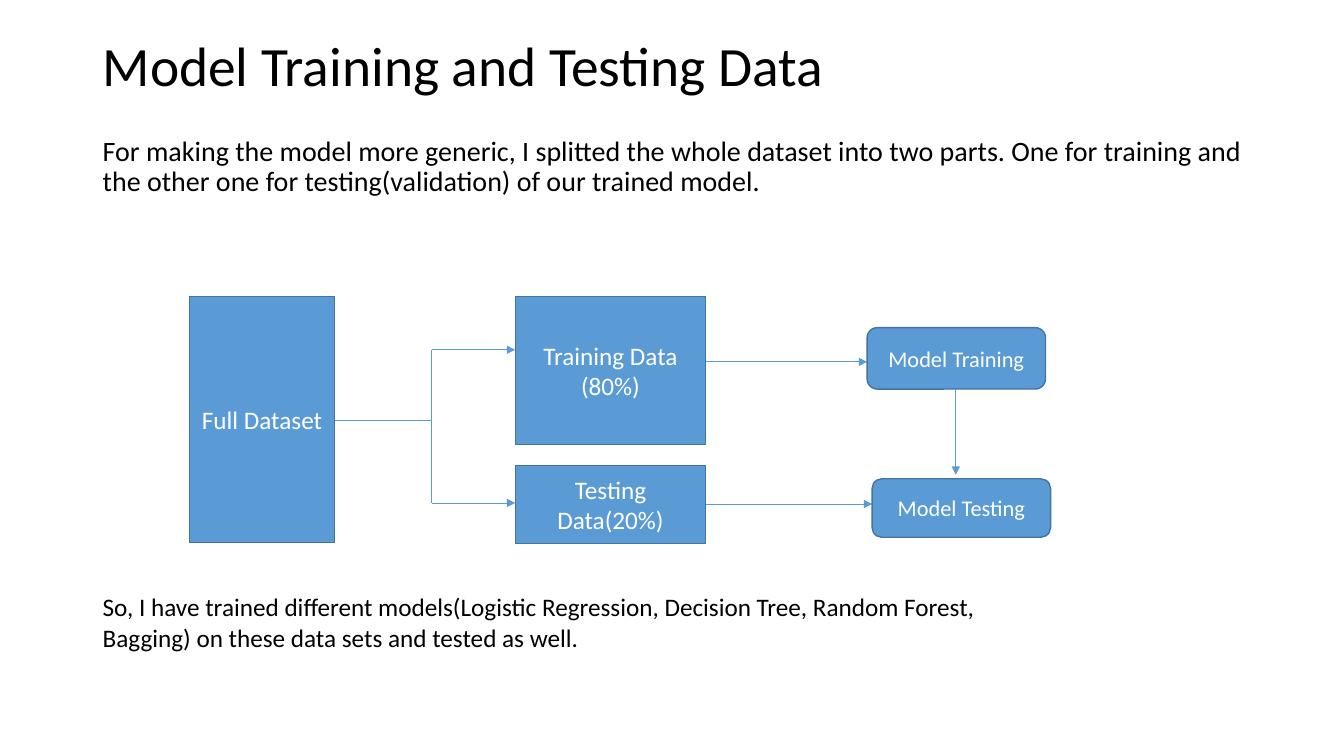
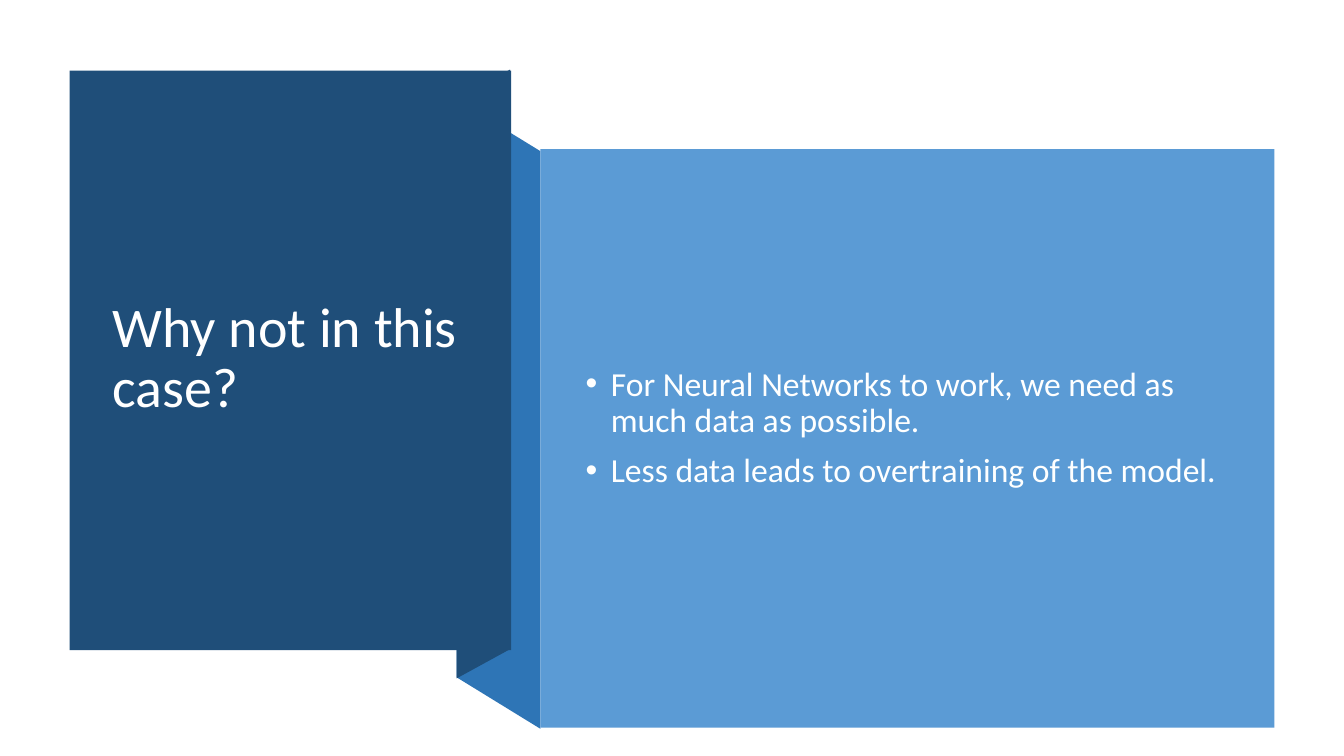
"""Build two slides on training data and the limits of neural networks."""
from lxml.etree import SubElement
from pptx import Presentation
from pptx.dml.color import RGBColor
from pptx.enum.shapes import MSO_CONNECTOR, MSO_SHAPE
from pptx.enum.text import MSO_ANCHOR, PP_ALIGN
from pptx.oxml.ns import qn
from pptx.util import Inches, Pt

FONT = "Calibri"
BLACK, WHITE, OFF_WHITE = "000000", "FFFFFF", "FEFFFF"
BLUE, OUTLINE = "5B9BD5", "43739E"
NAVY, FOLD_BLUE = "1F4E79", "2E75B6"
TITLE = {"line_spacing": 0.9}
BODY = {"line_spacing": 0.9}
CENTERED = {"alignment": PP_ALIGN.CENTER}


def color(value):
    """Return the colour for a hex string."""
    return RGBColor.from_string(value)


def apply_format(target, values):
    """Set each attribute of the target from the values."""
    for name, value in values.items():
        setattr(target, name, value)


def add_bullet(paragraph):
    """Give a paragraph a hanging bullet."""
    properties = paragraph._p.get_or_add_pPr()
    properties.set("marL", str(Inches(0.25)))
    properties.set("indent", str(-Inches(0.25)))
    SubElement(properties, qn("a:buFont"), typeface="Arial")
    SubElement(properties, qn("a:buChar"), char="•")


def write_text(shape, lines, size, hex_color, paragraph_format,
               anchor=MSO_ANCHOR.MIDDLE, bullets=False):
    """Fill a shape with one paragraph for each line."""
    frame = shape.text_frame
    apply_format(frame, {"word_wrap": True, "vertical_anchor": anchor})
    for index, line in enumerate(lines):
        paragraph = frame.add_paragraph() if index else frame.paragraphs[0]
        if bullets:
            add_bullet(paragraph)
        apply_format(paragraph, paragraph_format)
        if index and bullets:
            paragraph.space_before = Pt(10)
        run = paragraph.add_run()
        run.text = line
        apply_format(run.font, {"name": FONT, "size": Pt(size)})
        run.font.color.rgb = color(hex_color)


def add_text(slide, place, lines, size, hex_color, paragraph_format, **options):
    """Add a text box at the place."""
    box = slide.shapes.add_textbox(*map(Inches, place))
    write_text(box, lines, size, hex_color, paragraph_format, **options)


def paint(shape, fill, outline=None):
    """Set the fill and outline of a shape and remove its shadow."""
    shape.shadow.inherit = False
    shape.fill.solid()
    shape.fill.fore_color.rgb = color(fill)
    if outline:
        shape.line.color.rgb = color(outline)
        shape.line.width = Pt(1)
    else:
        shape.line.fill.background()


def add_step(slide, place, lines, size=18, kind=MSO_SHAPE.RECTANGLE):
    """Add a labelled box of the flow chart."""
    step = slide.shapes.add_shape(kind, *map(Inches, place))
    paint(step, BLUE, OUTLINE)
    write_text(step, lines, size, WHITE, CENTERED)


def add_line(slide, start, end, arrow=True):
    """Connect two points, with an arrowhead at the end if wanted."""
    connector = slide.shapes.add_connector(
        MSO_CONNECTOR.STRAIGHT, *map(Inches, start + end))
    connector.line.color.rgb = color(BLUE)
    connector.line.width = Pt(0.5)
    if arrow:
        SubElement(connector.line._get_or_add_ln(), qn("a:tailEnd"), type="triangle")
    SubElement(connector._element.spPr, qn("a:effectLst"))


def add_polygon(slide, points, fill):
    """Add a closed filled outline through the points."""
    start, *rest = [tuple(map(Inches, point)) for point in points]
    builder = slide.shapes.build_freeform(*start)
    builder.add_line_segments(rest, close=True)
    paint(builder.convert_to_shape(), fill)


def build_data_slide(slide):
    """Show how the data set is split for training and testing."""
    add_text(slide, (0.92, 0.4, 10, 0.57), ["Model Training and Testing Data"],
             39.6, BLACK, TITLE)
    add_text(slide, (0.92, 1.31, 11.5, 5.44),
             ["For making the model more generic, I splitted the whole dataset into two "
              "parts. One for training and the other one for testing(validation) of our "
              "trained model."], 20, BLACK, BODY, anchor=MSO_ANCHOR.TOP)

    split_x, data_x, data_width = 4.28, 5.11, 1.89
    branch_top, branch_bottom = 3.47, 4.99
    add_step(slide, (1.88, 2.94, 1.44, 2.44), ["Full Dataset"])
    add_line(slide, (3.32, 4.17), (split_x, 4.17), arrow=False)
    add_line(slide, (split_x, branch_top), (split_x, branch_bottom), arrow=False)
    for y in (branch_top, branch_bottom):
        add_line(slide, (split_x, y), (data_x, y))

    add_step(slide, (data_x, 2.94, data_width, 1.47), ["Training Data", "(80%)"])
    add_step(slide, (data_x, 4.62, data_width, 0.77), ["Testing Data(20%)"])
    models = [("Model Training", 8.6, 3.25, 0.61, 3.59),
              ("Model Testing", 8.65, 4.75, 0.58, 5)]
    for label, left, top, height, arrow_y in models:
        add_line(slide, (data_x + data_width, arrow_y), (left, arrow_y))
        add_step(slide, (left, top, 1.77, height), [label], 16,
                 MSO_SHAPE.ROUNDED_RECTANGLE)
    add_line(slide, (9.48, 3.86), (9.48, 4.71))

    add_text(slide, (0.92, 5.82, 9.45, 0.71),
             ["So, I have trained different models(Logistic Regression, Decision Tree, "
              "Random Forest, Bagging) on these data sets and tested as well."],
             18, BLACK, {}, anchor=MSO_ANCHOR.TOP)


def build_reason_slide(slide):
    """Show the reasons on a folded ribbon."""
    fold_x, panel_x, edge_x = 4.53, 5.36, 5.06
    add_polygon(slide, [(panel_x, 7.23), (fold_x, 6.72), (fold_x, 0.99),
                        (panel_x, 1.5)], FOLD_BLUE)
    add_polygon(slide, [(edge_x, 6.44), (fold_x, 6.73), (fold_x, 0.98),
                        (edge_x, 0.69)], NAVY)
    panels = [((0.69, 0.7, 4.38, 5.75), NAVY), ((panel_x, 1.48, 7.28, 5.74), BLUE)]
    for place, fill in panels:
        panel = slide.shapes.add_shape(MSO_SHAPE.RECTANGLE, *map(Inches, place))
        paint(panel, fill)
    add_text(slide, (1.02, 1.07, 3.71, 4.99), ["Why not in this case?"],
             40, WHITE, TITLE)
    add_text(slide, (5.71, 1.88, 6.51, 4.74),
             ["For Neural Networks to work, we need as much data as possible.",
              "Less data leads to overtraining of the model."],
             24, OFF_WHITE, BODY, bullets=True)


def main():
    """Build and save the presentation."""
    presentation = Presentation()
    apply_format(presentation, {"slide_width": Inches(13.33),
                                "slide_height": Inches(7.5)})
    blank = presentation.slide_layouts[6]
    for build in (build_data_slide, build_reason_slide):
        build(presentation.slides.add_slide(blank))
    presentation.save("out.pptx")


if __name__ == "__main__":
    main()
